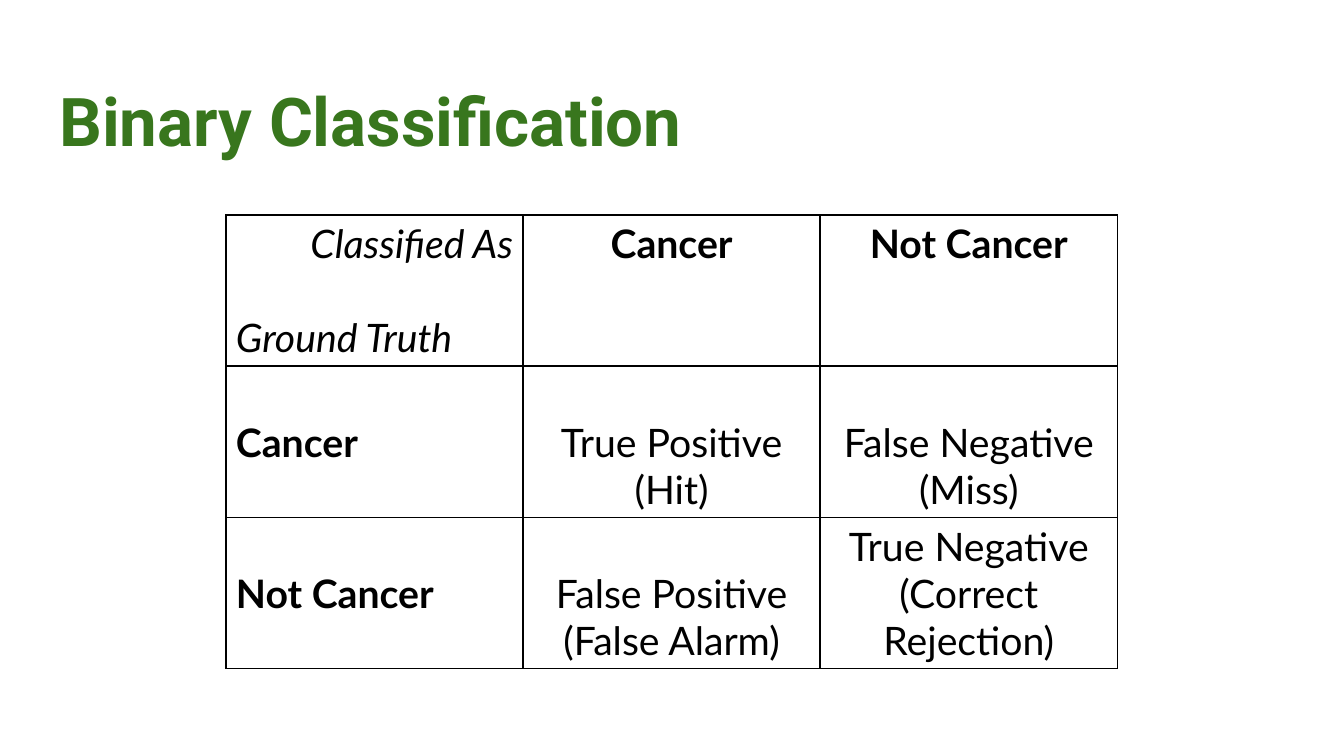
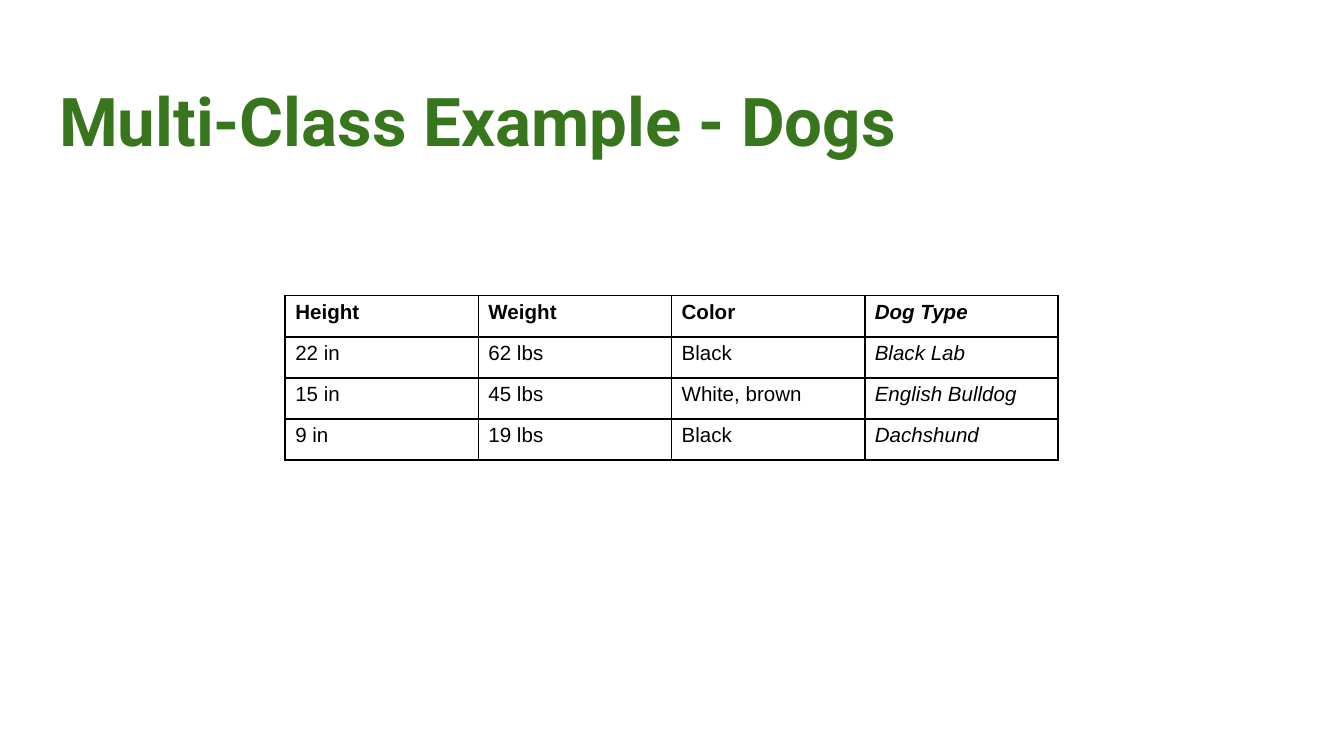
from lxml.etree import SubElement
from pptx import Presentation
from pptx.dml.color import RGBColor
from pptx.enum.text import MSO_ANCHOR as Anchor, MSO_AUTO_SIZE as AutoSize, PP_ALIGN as Align
from pptx.oxml.ns import qn
from pptx.util import Pt

GREEN = RGBColor(0x38, 0x76, 0x1D)
BLACK = RGBColor(0, 0, 0)
TITLE_BOX = (24.5, 35.3, 671, 45.4)
TITLE_ONLY = 5

MATRIX_BOX = (121, 115.2, 477.6, 243)
MATRIX_SIZE = 21
MATRIX_LINE = 25.2
MATRIX_HEADS = ["Cancer", "Not Cancer"]
MATRIX_OUTCOMES = [
    [["True Positive", "(Hit)"], ["False Negative", "(Miss)"]],
    [["False Positive", "(False Alarm)"], ["True Negative", "(Correct Rejection)"]],
]

DOGS_BOX = (152.8, 158.4, 414, 88)
DOGS = [
    ["Height", "Weight", "Color", "Dog Type"],
    ["22 in", "62 lbs", "Black", "Black Lab"],
    ["15 in", "45 lbs", "White, brown", "English Bulldog"],
    ["9 in", "19 lbs", "Black", "Dachshund"],
]


def write(frame, lines, *, font, size, color=BLACK, bold=False, italic=False,
          aligns=(Align.LEFT,), gap=0):
    """Write one paragraph per line; the last alignment carries on."""
    for index, line in enumerate(lines):
        para = frame.paragraphs[0] if index == 0 else frame.add_paragraph()
        para.alignment = aligns[min(index, len(aligns) - 1)]
        if index and gap:
            para.space_before = Pt(gap)
        span = para.add_run()
        span.text = line
        span.font.name, span.font.size = font, Pt(size)
        span.font.bold, span.font.italic = bold, italic
        span.font.color.rgb = color


def add_titled_page(deck, title):
    page = deck.slides.add_slide(deck.slide_layouts[TITLE_ONLY])
    box = page.shapes.title
    box.left, box.top, box.width, box.height = map(Pt, TITLE_BOX)
    frame = box.text_frame
    frame.word_wrap = True
    frame.auto_size = AutoSize.NONE
    frame.vertical_anchor = Anchor.TOP
    frame.margin_left = frame.margin_right = Pt(7.2)
    frame.margin_top = frame.margin_bottom = Pt(7.2)
    write(frame, [title], font="Roboto", size=36, color=GREEN, bold=True)
    return page


def style_cell(cell):
    """Black hairlines on every side, no fill, tight margins."""
    cell.margin_left = cell.margin_right = Pt(5.4)
    cell.margin_top = cell.margin_bottom = Pt(2.7)
    properties = cell._tc.get_or_add_tcPr()
    for side in ("a:lnL", "a:lnR", "a:lnT", "a:lnB"):
        line = SubElement(properties, qn(side), w=str(Pt(1)))
        fill = SubElement(line, qn("a:solidFill"))
        SubElement(fill, qn("a:srgbClr"), val=str(BLACK))
    cell.fill.background()


def add_grid(page, box, rows, columns):
    left, top, width, height = box
    table = page.shapes.add_table(rows, columns, *map(Pt, box)).table
    table.first_row = table.horz_banding = False
    for column in table.columns:
        column.width = Pt(width / columns)
    for row in table.rows:
        row.height = Pt(height / rows)
    for cell in table.iter_cells():
        style_cell(cell)
    return table


def add_confusion_matrix(page, box):
    table = add_grid(page, box, 3, 3)
    look = {"font": "Lato", "size": MATRIX_SIZE}

    # Corner cell names both axes
    write(table.cell(0, 0).text_frame, ["Classified As", "Ground Truth"], italic=True,
          aligns=(Align.RIGHT, Align.LEFT), gap=MATRIX_LINE, **look)

    # Column and row heads
    for index, head in enumerate(MATRIX_HEADS, 1):
        write(table.cell(0, index).text_frame, [head], bold=True,
              aligns=(Align.CENTER,), **look)
        label = table.cell(index, 0)
        label.vertical_anchor = Anchor.MIDDLE
        write(label.text_frame, [head], bold=True, **look)

    # Outcomes
    for row, outcomes in enumerate(MATRIX_OUTCOMES, 1):
        for column, lines in enumerate(outcomes, 1):
            cell = table.cell(row, column)
            cell.vertical_anchor = Anchor.BOTTOM
            write(cell.text_frame, lines, aligns=(Align.CENTER,), **look)


def add_dog_table(page, box):
    table = add_grid(page, box, len(DOGS), len(DOGS[0]))
    class_column = len(DOGS[0]) - 1
    for row, values in enumerate(DOGS):
        for column, value in enumerate(values):
            write(table.cell(row, column).text_frame, [value], font="Arial", size=11,
                  bold=row == 0, italic=column == class_column)


def main():
    deck = Presentation()
    deck.slide_width, deck.slide_height = Pt(720), Pt(405)
    add_confusion_matrix(add_titled_page(deck, "Binary Classification"), MATRIX_BOX)
    add_dog_table(add_titled_page(deck, "Multi-Class Example - Dogs"), DOGS_BOX)
    deck.save("out.pptx")


if __name__ == "__main__":
    main()
